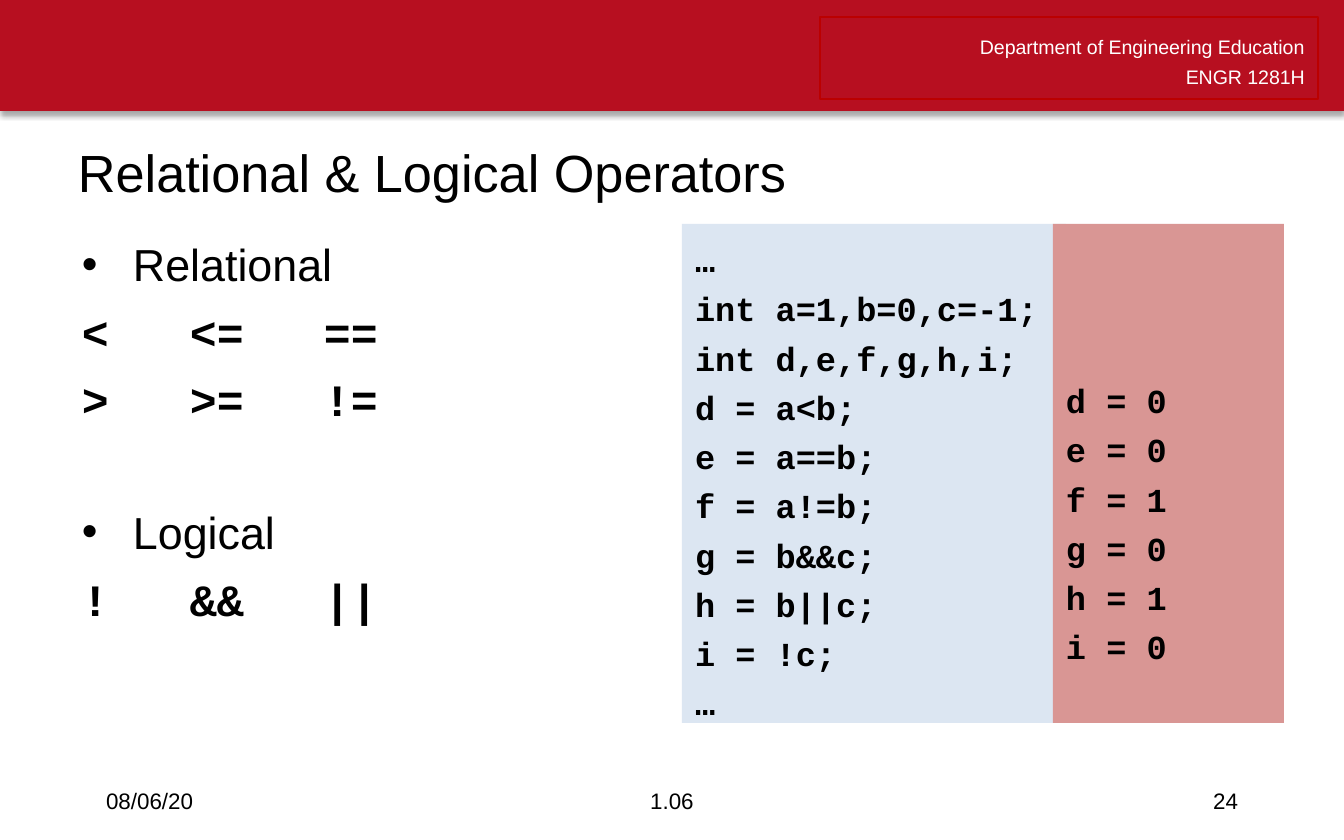
from lxml import etree
from pptx import Presentation
from pptx.dml.color import RGBColor
from pptx.enum.shapes import MSO_SHAPE
from pptx.enum.text import MSO_ANCHOR, PP_ALIGN
from pptx.oxml.ns import qn
from pptx.util import Emu, Pt

RECT = MSO_SHAPE.RECTANGLE
TOP, MIDDLE = MSO_ANCHOR.TOP, MSO_ANCHOR.MIDDLE
LEFT, CENTER, RIGHT = PP_ALIGN.LEFT, PP_ALIGN.CENTER, PP_ALIGN.RIGHT

SANS, MONO = "Arial", "Courier New"
BLACK, WHITE, RED = "000000", "FFFFFF", "B70F20"
INSET = 13
OPERATOR_TABS = (108, 242)
CODE_TOP, CODE_PITCH, CODE_GAP = 15, 47, 4.8

CODE = ["…", "int a=1,b=0,c=-1;", "int d,e,f,g,h,i;", "d = a<b;", "e = a==b;",
        "f = a!=b;", "g = b&&c;", "h = b||c;", "i = !c;", "…"]
RESULTS = ["d = 0", "e = 0", "f = 1", "g = 0", "h = 1", "i = 0"]
FIRST_RESULT_LINE = 3


def px(n):
    return Emu(round(n * 914400 / 134.4))


def rgb(value):
    return RGBColor.from_string(value)


def add_rect(s, box, fill=None, line=None):
    sp = s.shapes.add_shape(RECT, *map(px, box))
    sp.shadow.inherit = False
    if fill:
        sp.fill.solid()
        sp.fill.fore_color.rgb = rgb(fill)
    else:
        sp.fill.background()
    if line:
        sp.line.color.rgb = rgb(line)
        sp.line.width = Pt(0.75)
    else:
        sp.line.fill.background()
    return sp


def add_shadow(sp):
    effects = sp._element.spPr.find(qn("a:effectLst"))
    shadow = etree.SubElement(effects, qn("a:outerShdw"), blurRad=str(Pt(3.1)),
                              dist=str(Pt(1.8)), dir="5400000", rotWithShape="0")
    color = etree.SubElement(shadow, qn("a:srgbClr"), val=BLACK)
    etree.SubElement(color, qn("a:alpha"), val="35000")


def add_textbox(s, box):
    return s.shapes.add_textbox(*map(px, box))


def setup_frame(sp, anchor=TOP, top=7):
    tf = sp.text_frame
    tf.word_wrap = True
    tf.vertical_anchor = anchor
    tf.margin_left = tf.margin_right = px(INSET)
    tf.margin_top, tf.margin_bottom = px(top), px(7)
    return tf


def add_paragraph(tf, text, size, font=SANS, color=BLACK, bold=False,
                  align=LEFT, before=0):
    first = not tf.paragraphs[0].runs
    p = tf.paragraphs[0] if first else tf.add_paragraph()
    p.alignment = align
    p.space_before = Pt(0 if first else before)
    r = p.add_run()
    r.text = text
    r.font.size = Pt(size)
    r.font.name = font
    r.font.bold = bold
    r.font.color.rgb = rgb(color)
    return p


def add_bullet(p):
    pPr = p._p.get_or_add_pPr()
    pPr.set("marL", str(px(51)))
    pPr.set("indent", str(px(-51)))
    etree.SubElement(pPr, qn("a:buFont"), typeface=SANS)
    etree.SubElement(pPr, qn("a:buChar"), char="•")


def add_tabs(p):
    tabs = etree.SubElement(p._p.get_or_add_pPr(), qn("a:tabLst"))
    for pos in OPERATOR_TABS:
        etree.SubElement(tabs, qn("a:tab"), pos=str(px(pos)), algn="l")


def add_operator_group(tf, name, rows, before):
    add_bullet(add_paragraph(tf, name, 24, before=before))
    for row in rows:
        add_tabs(add_paragraph(tf, "\t".join(row), 24, MONO, bold=True, before=7.4))


def add_code_panel(s, box, fill, lines, first_line=0):
    tf = setup_frame(add_rect(s, box, fill), top=CODE_TOP + first_line * CODE_PITCH)
    for line in lines:
        add_paragraph(tf, line, 18, MONO, bold=True, before=CODE_GAP)


def main():
    prs = Presentation()
    prs.slide_width, prs.slide_height = px(1344), px(840)
    s = prs.slides.add_slide(prs.slide_layouts[6])

    # Header band
    add_shadow(add_rect(s, (0, 0, 1344, 111), RED))
    tf = setup_frame(add_rect(s, (820, 17, 498, 82), line="BB0000"), MIDDLE)
    for text in ("Department of Engineering Education", "ENGR 1281H"):
        p = add_paragraph(tf, text, 10.5, color=WHITE, align=RIGHT)
        p.line_spacing = Pt(16.4)

    # Operator lists
    tf = setup_frame(add_textbox(s, (69, 224, 594, 554)), top=13)
    add_operator_group(tf, "Relational", [("<", "<=", "=="), (">", ">=", "!=")], 0)
    add_operator_group(tf, "Logical", [("!", "&&", "||")], 42)

    # Title
    tf = setup_frame(add_textbox(s, (65, 129, 1219, 95)), top=11)
    add_paragraph(tf, "Relational & Logical Operators", 28)

    # Code and its results
    add_code_panel(s, (682, 224, 384, 499), "DCE6F2", CODE)
    add_code_panel(s, (1053, 224, 231, 499), "D99694", RESULTS, FIRST_RESULT_LINE)

    # Footer
    for left, width, text, align in ((93, 302, "08/06/20", LEFT),
                                     (445, 454, "1.06", CENTER),
                                     (949, 302, "24", RIGHT)):
        tf = setup_frame(add_textbox(s, (left, 778, width, 45)), MIDDLE)
        add_paragraph(tf, text, 12, align=align)

    prs.save("out.pptx")


if __name__ == "__main__":
    main()
